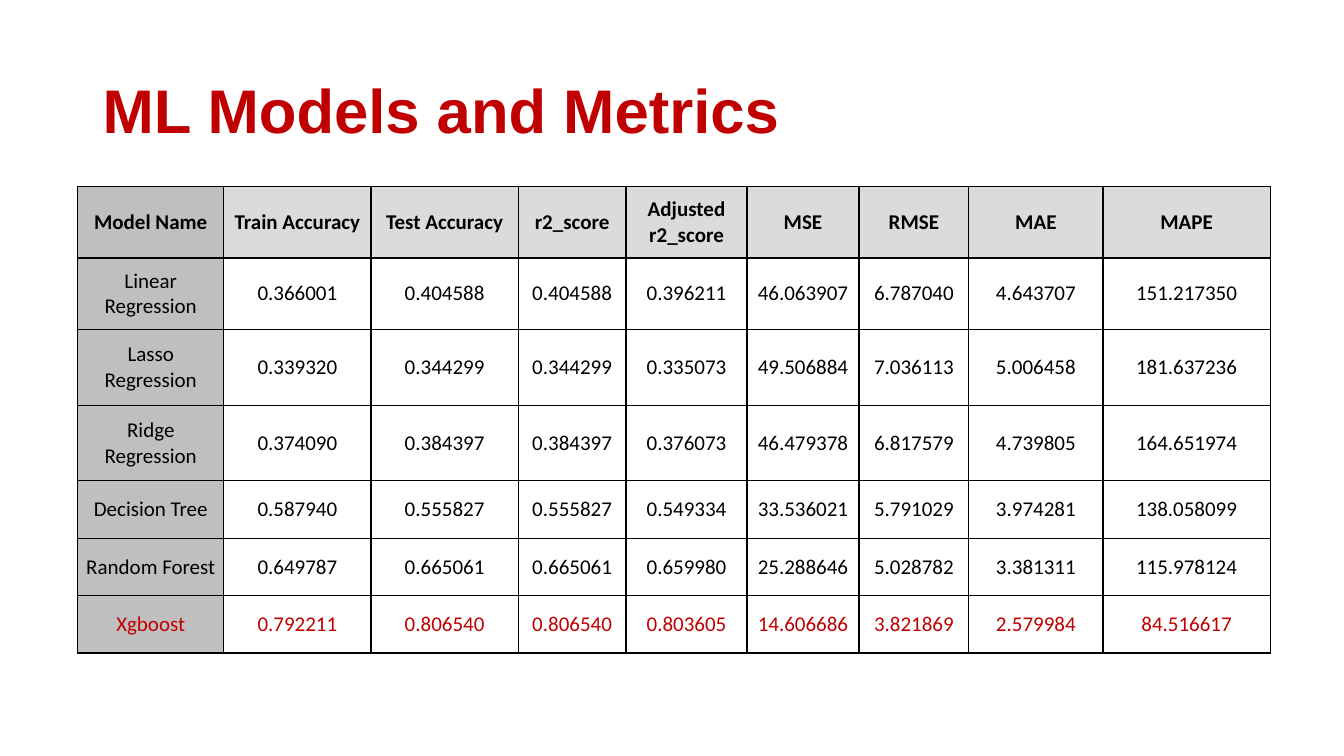
from dataclasses import dataclass

from lxml.etree import SubElement
from pptx import Presentation
from pptx.dml.color import RGBColor
from pptx.enum.text import MSO_ANCHOR, PP_ALIGN
from pptx.oxml.ns import qn
from pptx.util import Inches, Pt

BLACK, RED, WHITE = "000000", "C00000", "FFFFFF"
NAME_GREY, HEADER_GREY = "BFBFBF", "DBDBDB"


@dataclass
class MetricRow:
    height: float
    model: str
    metrics: list[str]
    color: str = BLACK
    bold: bool = False
    fill: str = WHITE


COLUMN_WIDTHS = [1.45, 1.46, 1.46, 1.07, 1.2, 1.11, 1.09, 1.33, 1.66]
ROWS = [
    MetricRow(0.71, "Model Name",
              ["Train Accuracy", "Test Accuracy", "r2_score", "Adjusted r2_score",
               "MSE", "RMSE", "MAE", "MAPE"], bold=True, fill=HEADER_GREY),
    MetricRow(0.71, "Linear Regression",
              ["0.366001", "0.404588", "0.404588", "0.396211",
               "46.063907", "6.787040", "4.643707", "151.217350"]),
    MetricRow(0.75, "Lasso Regression",
              ["0.339320", "0.344299", "0.344299", "0.335073",
               "49.506884", "7.036113", "5.006458", "181.637236"]),
    MetricRow(0.75, "Ridge Regression",
              ["0.374090", "0.384397", "0.384397", "0.376073",
               "46.479378", "6.817579", "4.739805", "164.651974"]),
    MetricRow(0.57, "Decision Tree",
              ["0.587940", "0.555827", "0.555827", "0.549334",
               "33.536021", "5.791029", "3.974281", "138.058099"]),
    MetricRow(0.57, "Random Forest",
              ["0.649787", "0.665061", "0.665061", "0.659980",
               "25.288646", "5.028782", "3.381311", "115.978124"]),
    MetricRow(0.57, "Xgboost",
              ["0.792211", "0.806540", "0.806540", "0.803605",
               "14.606686", "3.821869", "2.579984", "84.516617"], color=RED),
]


def rgb(color: str) -> RGBColor:
    return RGBColor.from_string(color)


def add_run(paragraph, text: str, font: str, size: float, color: str, bold: bool) -> None:
    run = paragraph.add_run()
    run.text = text
    run.font.name = font
    run.font.size = Pt(size)
    run.font.bold = bold
    run.font.color.rgb = rgb(color)


def add_borders(cell) -> None:
    properties = cell._tc.get_or_add_tcPr()
    for side in ("a:lnL", "a:lnR", "a:lnT", "a:lnB"):
        border = SubElement(properties, qn(side), w=str(Pt(1)))
        line_fill = SubElement(border, qn("a:solidFill"))
        SubElement(line_fill, qn("a:srgbClr"), val=BLACK)


def fill_cell(cell, text: str, row: MetricRow, fill: str) -> None:
    cell.margin_left = cell.margin_right = Inches(0.07)
    cell.margin_top = cell.margin_bottom = Inches(0.04)
    cell.vertical_anchor = MSO_ANCHOR.MIDDLE
    # Borders come before the fill in the cell properties
    add_borders(cell)
    cell.fill.solid()
    cell.fill.fore_color.rgb = rgb(fill)
    paragraph = cell.text_frame.paragraphs[0]
    paragraph.alignment = PP_ALIGN.CENTER
    add_run(paragraph, text, "Calibri", 15, row.color, row.bold)


def add_metrics_table(slide) -> None:
    height = sum(row.height for row in ROWS)
    metrics_table = slide.shapes.add_table(
        len(ROWS), len(COLUMN_WIDTHS), Inches(0.77), Inches(1.85),
        Inches(sum(COLUMN_WIDTHS)), Inches(height)).table
    for column, width in zip(metrics_table.columns, COLUMN_WIDTHS):
        column.width = Inches(width)
    for table_row, row in zip(metrics_table.rows, ROWS):
        table_row.height = Inches(row.height)
        for index, text in enumerate([row.model, *row.metrics]):
            fill = NAME_GREY if index == 0 else row.fill
            fill_cell(table_row.cells[index], text, row, fill)


def add_title(slide) -> None:
    title = slide.shapes.add_textbox(Inches(0.92), Inches(0.4), Inches(11.5), Inches(1.45))
    frame = title.text_frame
    frame.word_wrap = True
    frame.vertical_anchor = MSO_ANCHOR.MIDDLE
    paragraph = frame.paragraphs[0]
    paragraph.line_spacing = 0.9
    add_run(paragraph, "ML Models and Metrics", "Arial", 44, RED, True)


def main() -> None:
    presentation = Presentation()
    presentation.slide_width = Inches(13.33)
    presentation.slide_height = Inches(7.5)
    slide = presentation.slides.add_slide(presentation.slide_layouts[6])
    add_metrics_table(slide)
    add_title(slide)
    presentation.save("out.pptx")


if __name__ == "__main__":
    main()
